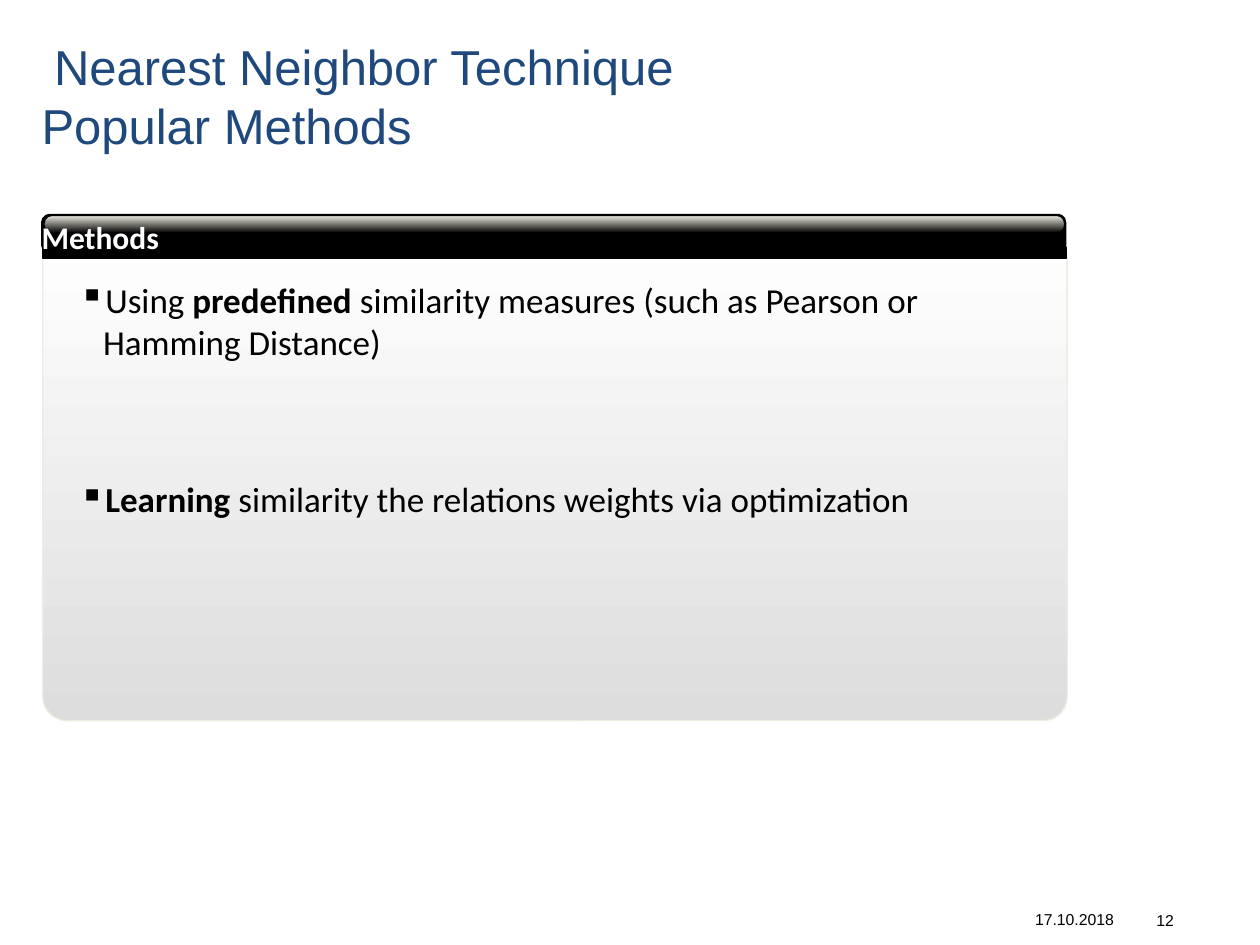
from lxml import etree
from pptx import Presentation, util as u
from pptx.dml.color import RGBColor
from pptx.enum import shapes, text
from pptx.oxml.ns import qn


def color(value):
    return RGBColor.from_string(value)


class MethodsSlide:
    """Draws styled panels and text on one slide."""

    black = "000000"
    cream = "EEECE1"

    def __init__(self, slide):
        self.slide = slide

    def panel(self, left, top, width, height, radius, fills, line, weight=0.75):
        panel = self.slide.shapes.add_shape(
            shapes.MSO_SHAPE.ROUNDED_RECTANGLE, *map(u.Inches, (left, top, width, height)))
        panel.adjustments[0] = radius
        panel.shadow.inherit = False
        if len(fills) == 1:
            panel.fill.solid()
            panel.fill.fore_color.rgb = color(fills[0])
        else:
            panel.fill.gradient()
            panel.fill.gradient_angle = 270
            for stop, value in zip(panel.fill.gradient_stops, fills):
                stop.color.rgb = color(value)
        panel.line.color.rgb = color(line)
        panel.line.width = u.Pt(weight)

    def text(self, left, top, width, height, paragraphs, size, font="Arial", ink=black,
             bold=None, inset=(0, 0), anchor=text.MSO_ANCHOR.TOP,
             align=text.PP_ALIGN.LEFT, gap=0, bullet=None, first_indent=0):
        box = self.slide.shapes.add_textbox(*map(u.Inches, (left, top, width, height)))
        frame = box.text_frame
        frame.word_wrap = True
        frame.vertical_anchor = anchor
        frame.margin_left = frame.margin_right = u.Inches(inset[0])
        frame.margin_top = frame.margin_bottom = u.Inches(inset[1])
        for index, runs in enumerate(paragraphs):
            paragraph = frame.add_paragraph() if index else frame.paragraphs[0]
            paragraph.alignment = align
            if index:
                paragraph.space_before = u.Pt(gap)
            elif first_indent:
                paragraph._p.get_or_add_pPr().set("indent", str(u.Inches(first_indent)))
            if bullet:
                properties = paragraph._p.get_or_add_pPr()
                properties.set("marL", str(u.Inches(0.19)))
                properties.set("indent", str(u.Inches(-0.19)))
                etree.SubElement(properties, qn("a:buChar"), char=bullet)
            paragraph.font.size = u.Pt(size)
            paragraph.font.name = font
            paragraph.font.color.rgb = color(ink)
            paragraph.font.bold = bold
            for words, strong in runs:
                run = paragraph.add_run()
                run.text = words
                if strong:
                    run.font.bold = True


def main():
    deck = Presentation()
    deck.slide_width, deck.slide_height = u.Inches(10), u.Inches(7.5)
    page = MethodsSlide(deck.slides.add_slide(deck.slide_layouts[6]))

    page.text(7.95, 7.22, 0.89, 0.16, [[("17.10.2018", False)]], 9,
              align=text.PP_ALIGN.RIGHT)
    page.text(0.33, 0.29, 9.33, 1.23,
              [[("Nearest Neighbor Technique", False)], [("Popular Methods", False)]],
              28, ink="1F497D", first_indent=0.1)
    page.text(9.08, 7.22, 0.59, 0.16, [[("12", False)]], 9, inset=(0.1, 0.05),
              anchor=text.MSO_ANCHOR.MIDDLE)

    page.panel(0.34, 1.86, 8.13, 3.86, 0.05, ["FFFFFF", "DDDDDD"], page.cream)
    page.panel(0.33, 1.7, 8.13, 0.31, 0.21, [page.black], page.black, 0.5)
    page.panel(0.35, 1.71, 8.1, 0.14, 0.45, [page.cream, page.black], page.black)
    page.panel(0.34, 1.96, 8.12, 0.09, 0, [page.black], page.black)
    page.text(0.33, 1.84, 8.13, 0.19, [[("Methods", False)]], 18, "Calibri", "FFFFFF",
              bold=True, anchor=text.MSO_ANCHOR.BOTTOM)
    page.text(0.53, 2.16, 7.59, 1.82, [
        [("Using ", False), ("predefined", True),
         (" similarity measures (such as Pearson or Hamming Distance)", False)],
        [("Learning", True),
         (" similarity the relations weights via optimization", False)],
    ], 20, "Calibri", inset=(0.1, 0.05), gap=66, bullet="▪")

    deck.save("out.pptx")


if __name__ == "__main__":
    main()
